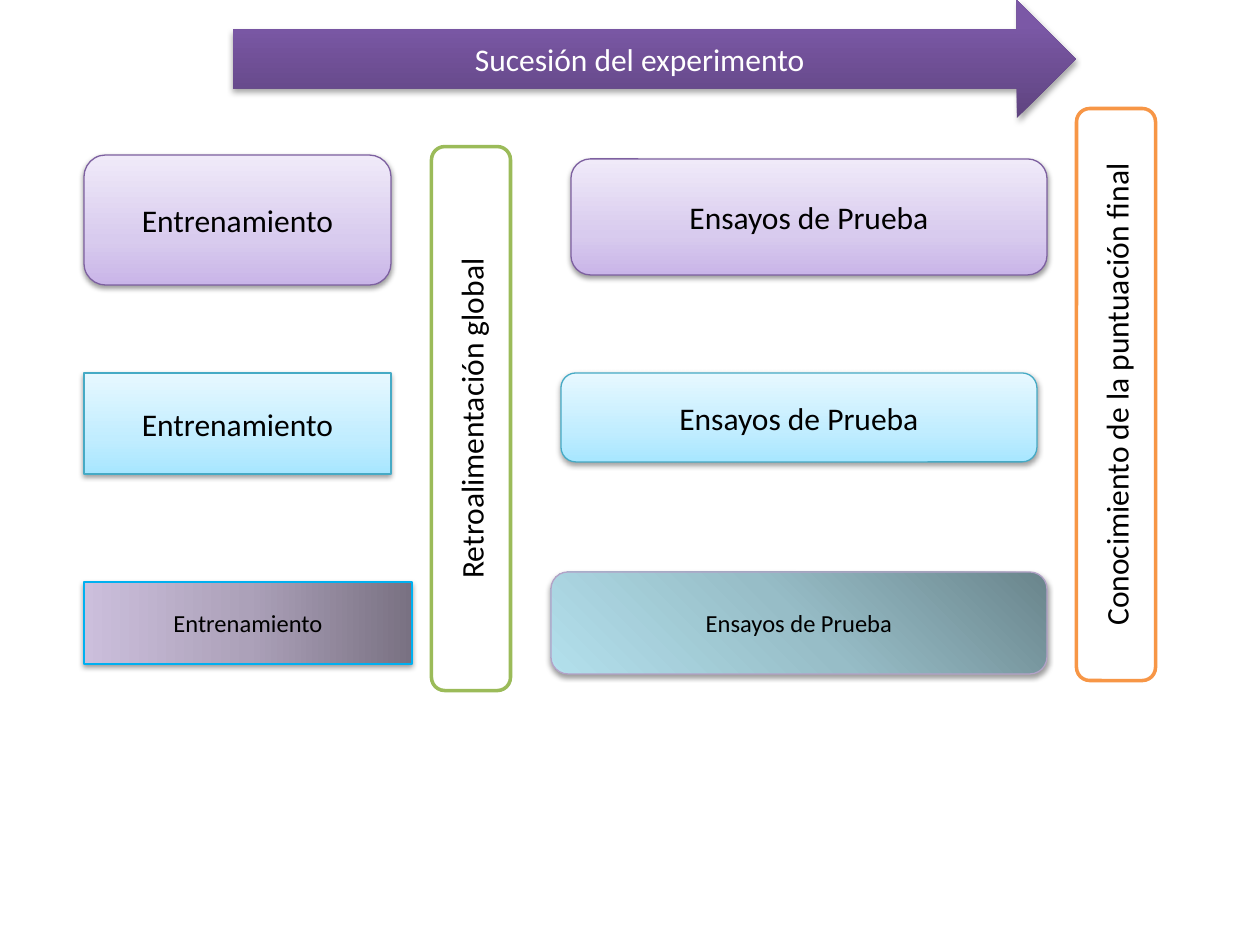
from lxml.etree import SubElement
from pptx import Presentation
from pptx.dml.color import RGBColor
from pptx.enum.shapes import MSO_SHAPE
from pptx.enum.text import MSO_ANCHOR, PP_ALIGN
from pptx.oxml.ns import qn
from pptx.util import Emu, Pt

EMU_PER_PX = 914400 / 126

COLORS = {
    "black": "000000",
    "white": "FFFFFF",
    "green": "9BBB59",
    "orange": "F79646",
    "purple": "7D60A0",
    "teal": "46AAC5",
    "blue": "00B0F0",
    "lilac": "B3A2C7",
}

# Each gradient: clockwise angle, then (percent, colour) stops.
GRADIENTS = {
    "lavender": (270, [(0, "C9B5E8"), (35, "D8CBEE"), (100, "F0EAF9")]),
    "sky": (270, [(0, "A7E6FF"), (35, "C1EDFF"), (100, "E7F8FF")]),
    "violet": (270, [(0, "5F4480"), (80, "7B58A6"), (100, "7C57A8")]),
    "mauve": (180, [(0, "797182"), (50, "ACA1B9"), (100, "CCBFDC")]),
    "sea": (135, [(0, "6A858C"), (50, "97BDC7"), (100, "B3E0EC")]),
}

RECT = MSO_SHAPE.RECTANGLE
ROUNDED = MSO_SHAPE.ROUNDED_RECTANGLE

# Phase boxes: preset, (left, top, width, height), gradient, line, text size
TRAINING = [
    (ROUNDED, (84, 155, 307, 130), "lavender", "purple", 18),
    (RECT, (84, 373, 307, 101), "sky", "teal", 18),
    (RECT, (84, 582, 328, 82), "mauve", "blue", 14),
]
TRIALS = [
    (ROUNDED, (571, 159, 476, 116), "lavender", "purple", 18),
    (ROUNDED, (561, 373, 476, 89), "sky", "teal", 18),
    (ROUNDED, (551, 572, 496, 102), "sea", "lilac", 14),
]


def px(length):
    return Emu(round(length * EMU_PER_PX))


def rgb(name):
    return RGBColor.from_string(COLORS[name])


def add_color(parent, value):
    return SubElement(parent, qn("a:srgbClr"), val=value)


def set_gradient(shape, name):
    angle, stops = GRADIENTS[name]
    shape.fill.gradient()
    shape.fill.gradient_angle = 360 - angle
    stop_list = shape.element.spPr.find(".//" + qn("a:gsLst"))
    for stop in list(stop_list):
        stop_list.remove(stop)
    for percent, value in stops:
        stop = SubElement(stop_list, qn("a:gs"), pos=str(percent * 1000))
        add_color(stop, value)


def add_shadow(shape, opacity=38, distance=1.6):
    effects = shape.element.spPr.find(qn("a:effectLst"))
    shadow = SubElement(
        effects, qn("a:outerShdw"), blurRad=str(Pt(3.1)),
        dist=str(Pt(distance)), dir="5400000", rotWithShape="0")
    SubElement(add_color(shadow, COLORS["black"]), qn("a:alpha"),
               val=str(opacity * 1000))


def set_line(shape, color, width):
    shape.line.color.rgb = rgb(color)
    shape.line.width = Pt(width)


def add_label(shape, text, size=18, color="black"):
    frame = shape.text_frame
    frame.word_wrap = True
    frame.vertical_anchor = MSO_ANCHOR.MIDDLE
    paragraph = frame.paragraphs[0]
    paragraph.alignment = PP_ALIGN.CENTER
    run = paragraph.add_run()
    run.text = text
    for key, value in {"name": "Calibri", "size": Pt(size)}.items():
        setattr(run.font, key, value)
    run.font.color.rgb = rgb(color)


def add_preset(slide, preset, box):
    shape = slide.shapes.add_shape(preset, *map(px, box))
    shape.shadow.inherit = False
    return shape


def add_phase(slide, text, preset, box, gradient, line, size):
    phase = add_preset(slide, preset, box)
    set_gradient(phase, gradient)
    set_line(phase, line, 0.75)
    add_shadow(phase)
    add_label(phase, text, size)


def add_upright_bar(slide, text, box, line):
    """Add a bar turned to read upwards; box is its place before turning."""
    bar = add_preset(slide, ROUNDED, box)
    bar.rotation = 270
    bar.fill.solid()
    bar.fill.fore_color.rgb = rgb("white")
    set_line(bar, line, 2)
    add_label(bar, text)


def add_sequence_arrow(slide, text, box):
    arrow = add_preset(slide, MSO_SHAPE.RIGHT_ARROW, box)
    set_gradient(arrow, "violet")
    arrow.line.fill.background()
    add_shadow(arrow, opacity=35, distance=1.8)
    add_label(arrow, text, color="white")


def main():
    deck = Presentation()
    deck.slide_width, deck.slide_height = px(1260), px(945)
    slide = deck.slides.add_slide(deck.slide_layouts[6])

    for phase in TRAINING:
        add_phase(slide, "Entrenamiento", *phase)
    add_upright_bar(slide, "Retroalimentación global",
                    (199, 379, 544, 79), "green")
    for phase in TRIALS:
        add_phase(slide, "Ensayos de Prueba", *phase)
    add_sequence_arrow(slide, "Sucesión del experimento", (233, 0, 843, 118))
    add_upright_bar(slide, "Conocimiento de la puntuación final",
                    (830, 355, 572, 79), "orange")

    deck.save("out.pptx")


if __name__ == "__main__":
    main()
